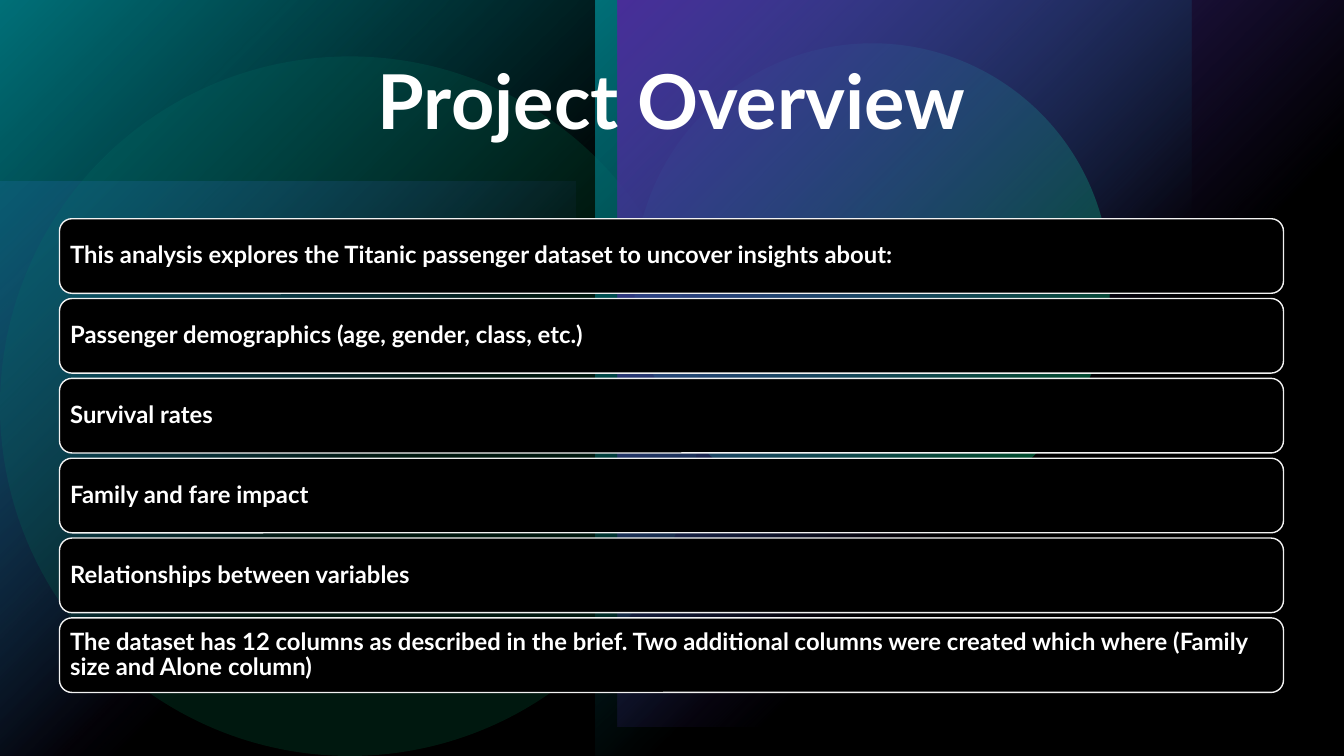
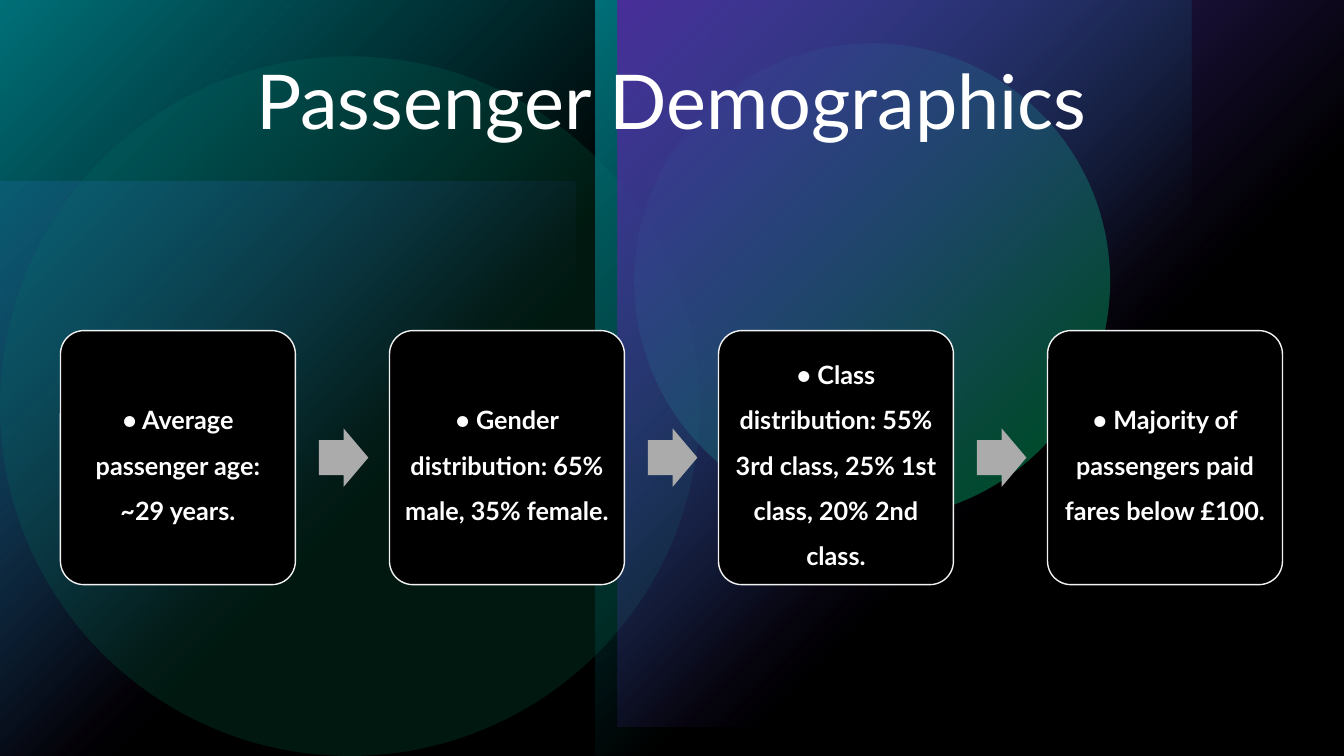
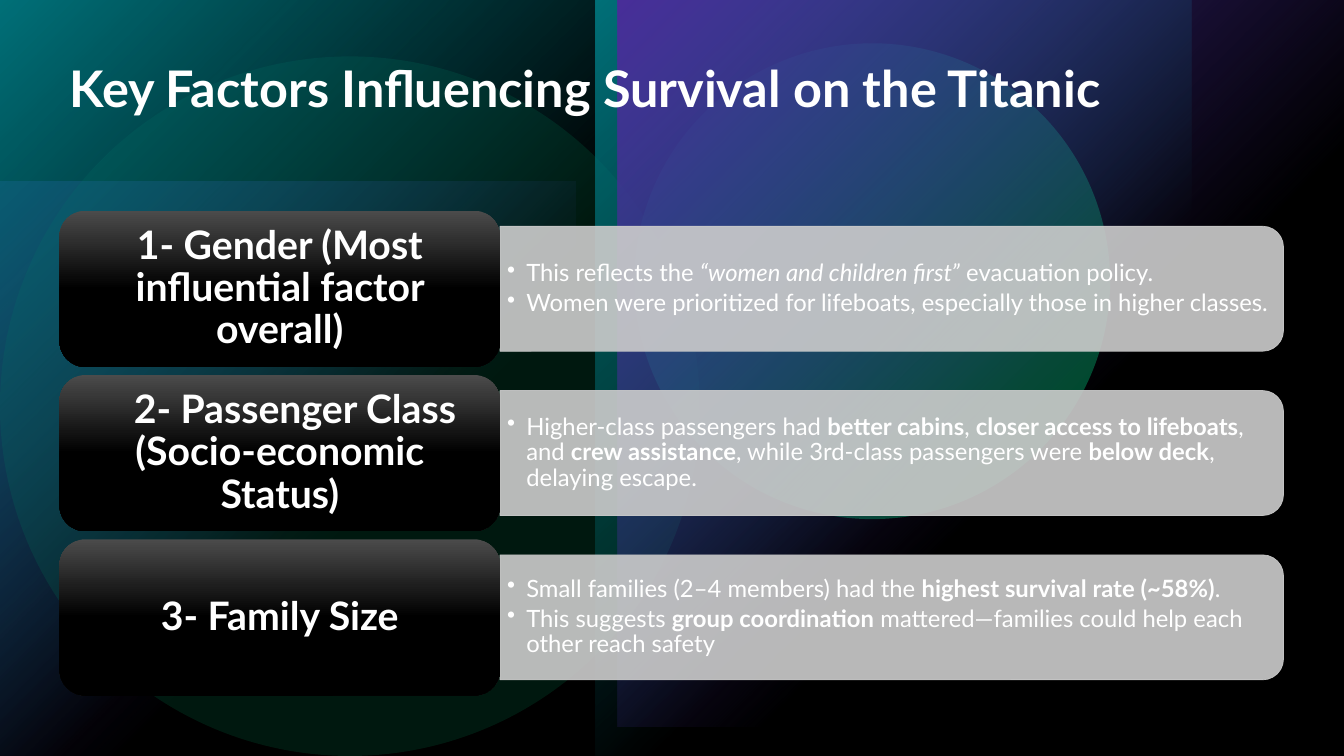
from lxml import etree
from pptx import Presentation
from pptx.dml.color import RGBColor
from pptx.enum import shapes, text
from pptx.oxml import ns, parse_xml
from pptx.util import Inches, Pt

FONT = "Lato"
BLACK = RGBColor(0x00, 0x00, 0x00)
WHITE = RGBColor(0xFF, 0xFF, 0xFF)
OUTLINE = RGBColor(0xF2, 0xF2, 0xF2)
ARROW_GREY = RGBColor(0xAB, 0xAB, 0xAB)
PANEL_GREY = RGBColor(0xCC, 0xCC, 0xCC)
CHARCOAL = RGBColor(0x4B, 0x4B, 0x4B)
VIOLET = RGBColor(0x79, 0x4D, 0xFF)
TEAL = RGBColor(0x00, 0xBA, 0xC8)
GREEN = RGBColor(0x00, 0xD1, 0x7D)

SLIDE_W, SLIDE_H = 13.33, 7.5
MARGIN, CONTENT_W = 0.59, 12.14
PRESET = shapes.MSO_SHAPE
CENTER = text.PP_ALIGN.CENTER
CORNER = '<a:path path="circle"><a:fillToRect r="100000" b="100000"/></a:path>'
DOWNWARD = '<a:lin ang="5400000" scaled="0"/>'


# Shared drawing helpers
def set_alpha(fill, percent):
    color = fill._xPr.find(ns.qn("a:solidFill"))[0]
    etree.SubElement(color, ns.qn("a:alpha")).set("val", str(percent * 1000))


def set_gradient(shape, stops, direction):
    """Each stop is (position %, colour, opacity %)."""
    stop_xml = "".join(
        f'<a:gs pos="{pos * 1000}"><a:srgbClr val="{color}">'
        f'<a:alpha val="{opacity * 1000}"/></a:srgbClr></a:gs>'
        for pos, color, opacity in stops)
    gradient = parse_xml(
        f'<a:gradFill {ns.nsdecls("a")} rotWithShape="1">'
        f'<a:gsLst>{stop_xml}</a:gsLst>{direction}</a:gradFill>')
    shape._element.spPr.find(ns.qn("a:prstGeom")).addnext(gradient)


def add_block(slide, preset, box, fill=None, opacity=100, line=None, width=1):
    block = slide.shapes.add_shape(preset, *map(Inches, box))
    block.shadow.inherit = False
    if fill is not None:
        block.fill.solid()
        block.fill.fore_color.rgb = fill
        set_alpha(block.fill, opacity)
    if line is None:
        block.line.fill.background()
    else:
        block.line.color.rgb = line
        block.line.width = Pt(width)
        set_alpha(block.line.fill, opacity)
    return block


def set_frame(shape, inset_x, inset_y, anchor=text.MSO_ANCHOR.MIDDLE):
    frame = shape.text_frame
    frame.word_wrap = True
    frame.vertical_anchor = anchor
    frame.margin_left = frame.margin_right = Inches(inset_x)
    frame.margin_top = frame.margin_bottom = Inches(inset_y)
    return frame


def style(paragraph, size, bold=False, align=text.PP_ALIGN.LEFT, spacing=0.9):
    paragraph.alignment = align
    paragraph.line_spacing = spacing
    paragraph.font.name = FONT
    paragraph.font.size = Pt(size)
    paragraph.font.bold = bold
    paragraph.font.color.rgb = WHITE


def write(shape, words, inset_x, inset_y, *args, **kwargs):
    paragraph = set_frame(shape, inset_x, inset_y).paragraphs[0]
    paragraph.text = words
    style(paragraph, *args, **kwargs)
    return paragraph


# Backdrop and title common to all slides
def add_backdrop(slide):
    def glow(box, color, opacity=100):
        panel = add_block(slide, PRESET.RECTANGLE, box)
        set_gradient(panel, [(0, color, opacity), (60, color, 0)], CORNER)

    slide.background.fill.solid()
    slide.background.fill.fore_color.rgb = BLACK
    glow((0, 1.8, 5.71, 5.71), VIOLET, 60)
    add_block(slide, PRESET.OVAL, (6.29, 0.43, 4.72, 4.72), GREEN, 60)
    add_block(slide, PRESET.OVAL, (0, 0.56, 6.94, 6.94), GREEN, 20)
    glow((0, 0, 5.91, SLIDE_H), TEAL)
    glow((5.91, 0, 5.91, SLIDE_H), TEAL)
    glow((6.13, 0, 7.21, 7.21), VIOLET)
    add_block(slide, PRESET.RECTANGLE, (0, 0, SLIDE_W, SLIDE_H), BLACK, 40)


def new_slide(deck, title, size=54, bold=True, align=CENTER):
    slide = deck.slides.add_slide(deck.slide_layouts[6])
    add_backdrop(slide)
    heading = slide.shapes.add_textbox(
        *map(Inches, (MARGIN, MARGIN, CONTENT_W, 1.25)))
    frame = set_frame(heading, 0.1, 0.05, text.MSO_ANCHOR.TOP)
    frame.text = title
    style(frame.paragraphs[0], size, bold, align)
    return slide


# Stack of full-width statements
def add_statements(slide, box, statements, row_h=0.74):
    left, top, width, height = box
    pitch = (height - row_h) / (len(statements) - 1)
    for i, statement in enumerate(statements):
        row = add_block(slide, PRESET.ROUNDED_RECTANGLE,
                        (left, top + i * pitch, width, row_h), BLACK, line=OUTLINE)
        write(row, statement, 0.07, 0.07, 17, bold=True)


# Row of cards joined by block arrows
def add_card_flow(slide, box, facts, card_w=2.33):
    left, top, width, height = box
    arrow_w, arrow_h = 0.49, 0.58
    pitch = (width - card_w) / (len(facts) - 1)
    for i, fact in enumerate(facts):
        x = left + i * pitch
        card = add_block(slide, PRESET.ROUNDED_RECTANGLE,
                         (x, top, card_w, height), BLACK, line=OUTLINE)
        card.adjustments[0] = 0.1
        write(card, fact, 0.07, 0.07, 18, bold=True, align=CENTER, spacing=1.5)
        if i < len(facts) - 1:
            arrow = add_block(slide, PRESET.RIGHT_ARROW,
                              (x + card_w * 1.1, top + (height - arrow_h) / 2,
                               arrow_w, arrow_h), ARROW_GREY)
            arrow.adjustments[0] = 0.6


# Factor label with its explanation panel
def add_bullet(paragraph, parts, emphasis):
    """Every second part carries the emphasis."""
    for i, part in enumerate(parts):
        run = paragraph.add_run()
        run.text = part
        if i % 2:
            setattr(run.font, emphasis, True)
    style(paragraph, 17)
    paragraph.space_after = Pt(3)
    props = paragraph._p.get_or_add_pPr()
    props.set("marL", str(Inches(0.19)))
    props.set("indent", str(Inches(-0.19)))
    bullet = parse_xml(f'<a:buChar {ns.nsdecls("a")} char="•"/>')
    props.find(ns.qn("a:defRPr")).addprevious(bullet)


def add_factor(slide, box, label, indent, emphasis, bullets):
    left, top, width, height = box
    label_w, panel_h = 4.37, 1.24
    panel_x, panel_w = left + label_w, width - label_w
    middle = top + height / 2

    # The panel is turned a quarter so its round corners face right
    panel = add_block(slide, PRESET.ROUND_2_SAME_RECTANGLE,
                      (panel_x + (panel_w - panel_h) / 2, middle - panel_w / 2,
                       panel_h, panel_w), PANEL_GREY, 90, PANEL_GREY, 0.5)
    panel.rotation = 90
    details = slide.shapes.add_textbox(
        *map(Inches, (panel_x, middle - 0.56, panel_w - 0.06, 1.12)))
    frame = set_frame(details, 0.07, 0.04)
    for i, parts in enumerate(bullets):
        paragraph = frame.add_paragraph() if i else frame.paragraphs[0]
        add_bullet(paragraph, parts, emphasis)

    tab = add_block(slide, PRESET.ROUNDED_RECTANGLE, (left, top, label_w, height))
    set_gradient(tab, [(0, CHARCOAL, 100), (50, BLACK, 100), (100, BLACK, 100)],
                 DOWNWARD)
    heading = write(tab, label, 0.12, 0.06, 28, bold=True, align=CENTER)
    if indent:
        heading._p.get_or_add_pPr().set("indent", str(Inches(indent)))


STATEMENTS = [
    "This analysis explores the Titanic passenger dataset to uncover insights about:",
    "Passenger demographics (age, gender, class, etc.)",
    "Survival rates",
    "Family and fare impact",
    "Relationships between variables",
    "The dataset has 12 columns as described in the brief. Two additional columns "
    "were created which where (Family size and Alone column)",
]
FACTS = [
    "• Average passenger age: ~29 years.",
    "• Gender distribution: 65% male, 35% female.",
    "• Class distribution: 55% 3rd class, 25% 1st class, 20% 2nd class.",
    "• Majority of passengers paid fares below £100.",
]
FACTORS = [
    ("1- Gender (Most influential factor overall)", 0, "italic", [
        ["This reflects the ", "“women and children first”", " evacuation policy."],
        ["Women were prioritized for lifeboats, especially those in higher classes."],
    ]),
    ("2- Passenger Class (Socio-economic Status)", 0.3, "bold", [
        ["Higher-class passengers had ", "better cabins", ", ",
         "closer access to lifeboats", ", and ", "crew assistance",
         ", while 3rd-class passengers were ", "below deck", ", delaying escape."],
    ]),
    ("3- Family Size", 0, "bold", [
        ["Small families (2–4 members) had the ", "highest survival rate (~58%)", "."],
        ["This suggests ", "group coordination",
         " mattered—families could help each other reach safety"],
    ]),
]


def main():
    deck = Presentation()
    deck.slide_width, deck.slide_height = Inches(SLIDE_W), Inches(SLIDE_H)

    overview = new_slide(deck, "Project Overview")
    add_statements(overview, (MARGIN, 2.17, CONTENT_W, 4.7), STATEMENTS)

    demographics = new_slide(deck, "Passenger Demographics", bold=False)
    add_card_flow(demographics, (0.6, 3.28, 12.12, 2.52), FACTS)

    survival = new_slide(deck, "Key Factors Influencing Survival on the Titanic",
                         size=36, align=text.PP_ALIGN.LEFT)
    for i, factor in enumerate(FACTORS):
        add_factor(survival, (MARGIN, 2.09 + i * 1.63, CONTENT_W, 1.55), *factor)

    deck.save("out.pptx")


if __name__ == "__main__":
    main()
